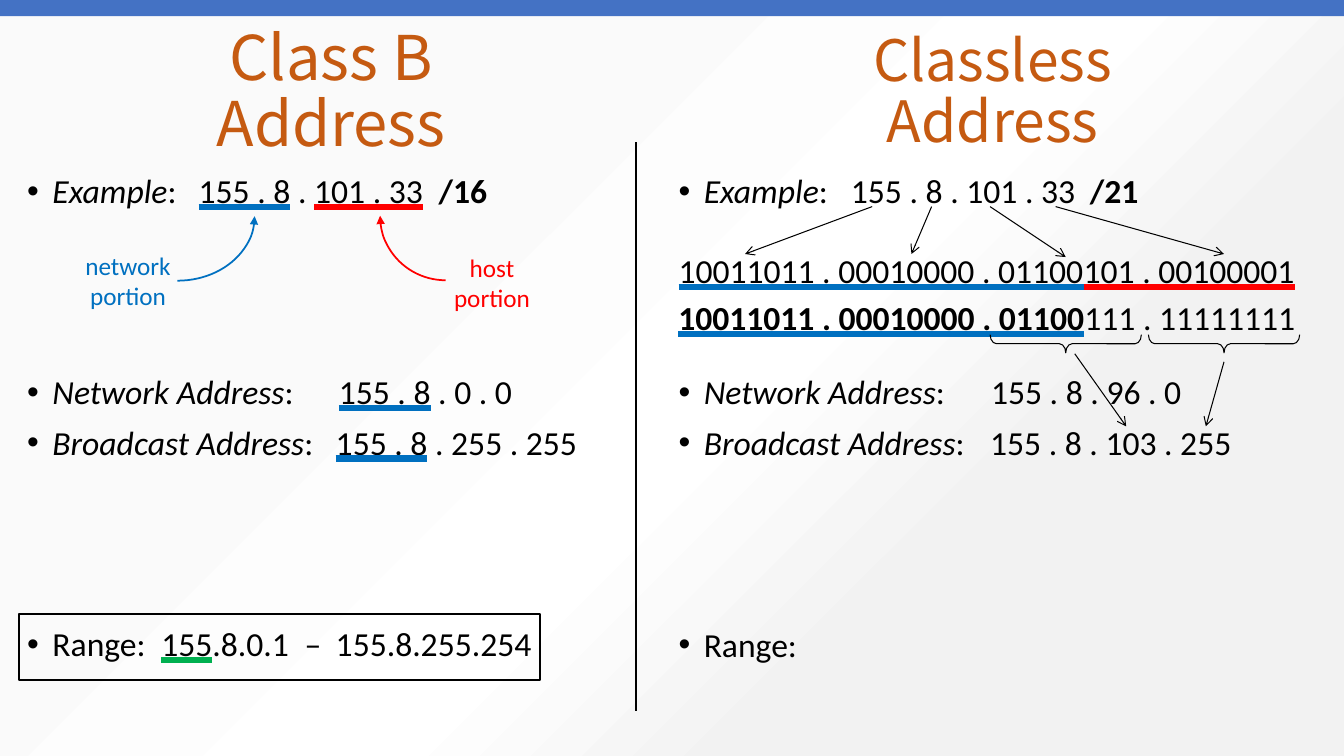
from pptx import Presentation, util as u
from pptx.dml.color import RGBColor
from pptx.enum import shapes, text
from pptx.oxml import parse_xml
from pptx.oxml.ns import nsdecls, qn
from lxml import etree

# Content: runs are (text, style); i italic, b bold, B/R/G underline colour
NET_EX = [("Example", "i"), (":\t", ""), ("155 . 8", "B"), (" . ", ""),
          ("101 . 33", "R"), ("\t", ""), ("/16", "b")]
LEFT = [  # runs, space before, bullet, tab stops
    (NET_EX, 10, True, [1.7, 4.08]),
    ([("Network Address", "i"), (":\t", ""), ("155 . 8", "B"), (" . 0 . 0", "")],
     118, True, [3.09]),
    ([("Broadcast Address", "i"), (":\t", ""), ("155 . 8", "B"),
      (" . 255 . 255", "")], 10, True, [3.06]),
    ([("Range:\t", ""), ("155", "G"), (".8.0.1\t–\t155.8.255.254", "")],
     118, True, [1.33, 2.75, 3.06]),
]
RIGHT = [
    ([("Example", "i"), (":\t155 . 8 . 101 . 33\t", ""), ("/21", "b")],
     10, True, [1.71, 4.08]),
    ([("10011011 . 00010000 . 01100", "B"), ("101 . 00100001", "R")],
     31.4, False, []),
    ([("Network Address", "i"), (":\t155 . 8 . 96 . 0", "")], 60.7, True, [3.1]),
    ([("Broadcast Address", "i"), (":\t155 . 8 . 103 . 255", "")],
     10, True, [3.09]),
    ([("Range:", "")], 118.5, True, []),
]
LAST_BITS = [([("10011011 . 00010000 . 01100", "bB"), ("111 . 11111111", "")],
              0, False, [])]
ARROWS = [((8.65, 2.05), (7.39, 2.52)), ((9.24, 2.05), (9.04, 2.52)),
          ((9.82, 2.05), (10.57, 2.55)), ((10.47, 2.05), (12.14, 2.52)),
          ((10.66, 3.51), (11.17, 4.23)), ((12.14, 3.59), (11.96, 4.23))]
THEME = dict(head="Noto Sans CJK SC", body="Calibri", title="C55A11",
             ink="000000", bar="4472C4", net="0070C0", host="FF0000",
             B="0070C0", R="FF0000", G="00B050",
             title_pt=44, title2_pt=40.7, body_pt=24, label_pt=18,
             bg=[(29, "FAFAFA"), (54, "FFFFFF"), (71, "F2F2F2"), (87, "F2F2F2")])

prs = Presentation()
prs.slide_width, prs.slide_height = u.Inches(13.33), u.Inches(7.5)
s = prs.slides.add_slide(prs.slide_layouts[3])


def box(*lengths):
    return [u.Inches(v) for v in lengths]


def place(sp, at):
    sp.left, sp.top, sp.width, sp.height = box(*at)
    return sp


def plain(words):
    return [([(w, "")], 0, False, []) for w in words]


def write(sp, paras, size, color=THEME["ink"], font=THEME["body"], align=None,
          spacing=1.0, wrap=True, anchor=text.MSO_ANCHOR.TOP):
    """Fill a shape with formatted paragraphs."""
    tf = sp.text_frame
    tf.word_wrap, tf.vertical_anchor = wrap, anchor
    tf.auto_size = (text.MSO_AUTO_SIZE.NONE if wrap
                    else text.MSO_AUTO_SIZE.SHAPE_TO_FIT_TEXT)
    for n, (runs, before, bullet, tabs) in enumerate(paras):
        p = tf.add_paragraph() if n else tf.paragraphs[0]
        p.alignment, p.line_spacing = align, spacing
        p.space_before, p.space_after = u.Pt(before), u.Pt(0)
        pPr = p._p.get_or_add_pPr()
        pPr.set("marL", str(u.Inches(0.25 if bullet else 0)))
        pPr.set("indent", str(u.Inches(-0.25 if bullet else 0)))
        if bullet:
            etree.SubElement(pPr, qn("a:buFont")).set("typeface", "Arial")
            etree.SubElement(pPr, qn("a:buChar")).set("char", "•")
        else:
            etree.SubElement(pPr, qn("a:buNone"))
        if tabs:
            stops = etree.SubElement(pPr, qn("a:tabLst"))
            for pos in tabs:
                tab = etree.SubElement(stops, qn("a:tab"))
                tab.set("pos", str(u.Inches(pos)))
                tab.set("algn", "l")
        for words, style in runs:
            r = p.add_run()
            r.text = words
            f = r.font
            f.size, f.name = u.Pt(size), font
            f.bold, f.italic = "b" in style, "i" in style
            f.color.rgb = RGBColor.from_string(color)
            for key in set(style) & set("BRG"):
                f.underline = text.MSO_UNDERLINE.HEAVY_LINE
                f._element.find(qn("a:solidFill")).addnext(parse_xml(
                    f'<a:uFill {nsdecls("a")}><a:solidFill><a:srgbClr '
                    f'val="{THEME[key]}"/></a:solidFill></a:uFill>'))


def stroke(sp, color=THEME["ink"], width=1.25, **ends):
    sp.line.color.rgb = RGBColor.from_string(color)
    sp.line.width = u.Pt(width)
    for end, kind in ends.items():
        etree.SubElement(sp.line._get_or_add_ln(), qn(f"a:{end}End")).set("type", kind)


def outline(kind, at, rotation=0, **line):
    sp = s.shapes.add_shape(kind, *box(*at))
    sp.shadow.inherit = False
    sp.fill.background()
    sp.rotation = rotation
    stroke(sp, **line)
    return sp


def connect(start, end, **line):
    c = s.shapes.add_connector(shapes.MSO_CONNECTOR.STRAIGHT, *box(*start, *end))
    stroke(c, **line)
    etree.SubElement(c._element.spPr, qn("a:effectLst"))


# Background gradient, spreading from the top left corner
s.background.fill.gradient()
grad = s.background._cSld.bg.bgPr.find(qn("a:gradFill"))
stops = "".join(f'<a:gs pos="{pos * 1000}"><a:srgbClr val="{c}"/></a:gs>'
                for pos, c in THEME["bg"])
grad.getparent().replace(grad, parse_xml(
    f'<a:gradFill {nsdecls("a")} rotWithShape="1"><a:gsLst>{stops}</a:gsLst>'
    '<a:path path="circle"><a:fillToRect r="100000" b="100000"/></a:path>'
    '</a:gradFill>'))

# Titles and address lists
title, left, right = s.placeholders
title2 = s.shapes.add_textbox(0, 0, 0, 0)
for sp, x, words, size in [(title, 1.17, "Class B Address", THEME["title_pt"]),
                           (title2, 7.73, "Classless Address", THEME["title2_pt"])]:
    write(place(sp, (x, 0.45, 4.23, 0.96)), plain([words]), size,
          color=THEME["title"], font=THEME["head"], spacing=0.9,
          align=text.PP_ALIGN.CENTER, anchor=text.MSO_ANCHOR.MIDDLE)
for sp, x, paras in [(left, 0.17, LEFT), (right, 6.63, RIGHT)]:
    write(place(sp, (x, 1.68, 6.5, 5.38)), paras, THEME["body_pt"], spacing=0.9)

# Top bar and divider
bar = s.shapes.add_shape(shapes.MSO_SHAPE.RECTANGLE, *box(0, 0, 13.33, 0.16))
bar.shadow.inherit = False
bar.fill.solid()
bar.fill.fore_color.rgb = RGBColor.from_string(THEME["bar"])
bar.line.fill.background()
connect((6.31, 1.41), (6.31, 7.05))

# Network and host portions with curved arrows
for word, color, arc_at, label_at, flip in [
        ("network", THEME["net"], (1.12, 1.38, 1.28, 1.53), (0.74, 2.43, 1.06, 0.71), False),
        ("host", THEME["host"], (3.78, 1.49, 1.28, 1.3), (4.4, 2.45, 0.96, 0.71), True)]:
    arc = outline(shapes.MSO_SHAPE.ARC, arc_at, 90, color=color, head="triangle")
    if flip:
        arc._element.spPr.xfrm.set("flipV", "1")
    write(s.shapes.add_textbox(*box(*label_at)), plain([word, "portion"]),
          THEME["label_pt"], color=color, align=text.PP_ALIGN.CENTER, wrap=False)

# Broadcast bits, braces and arrows
write(s.shapes.add_textbox(*box(6.63, 2.9, 6.36, 0.5)), LAST_BITS,
      THEME["body_pt"], wrap=False)
for x in (10.48, 12.05):
    brace = outline(shapes.MSO_SHAPE.RIGHT_BRACE, (x, 2.66, 0.18, 1.5), 90, width=0.75)
    brace.adjustments[0] = 0.35
for start, end in ARROWS:
    connect(start, end, width=0.75, tail="arrow")

# Frame around the range
outline(shapes.MSO_SHAPE.RECTANGLE, (0.19, 6.09, 5.17, 0.66))

prs.save("out.pptx")
